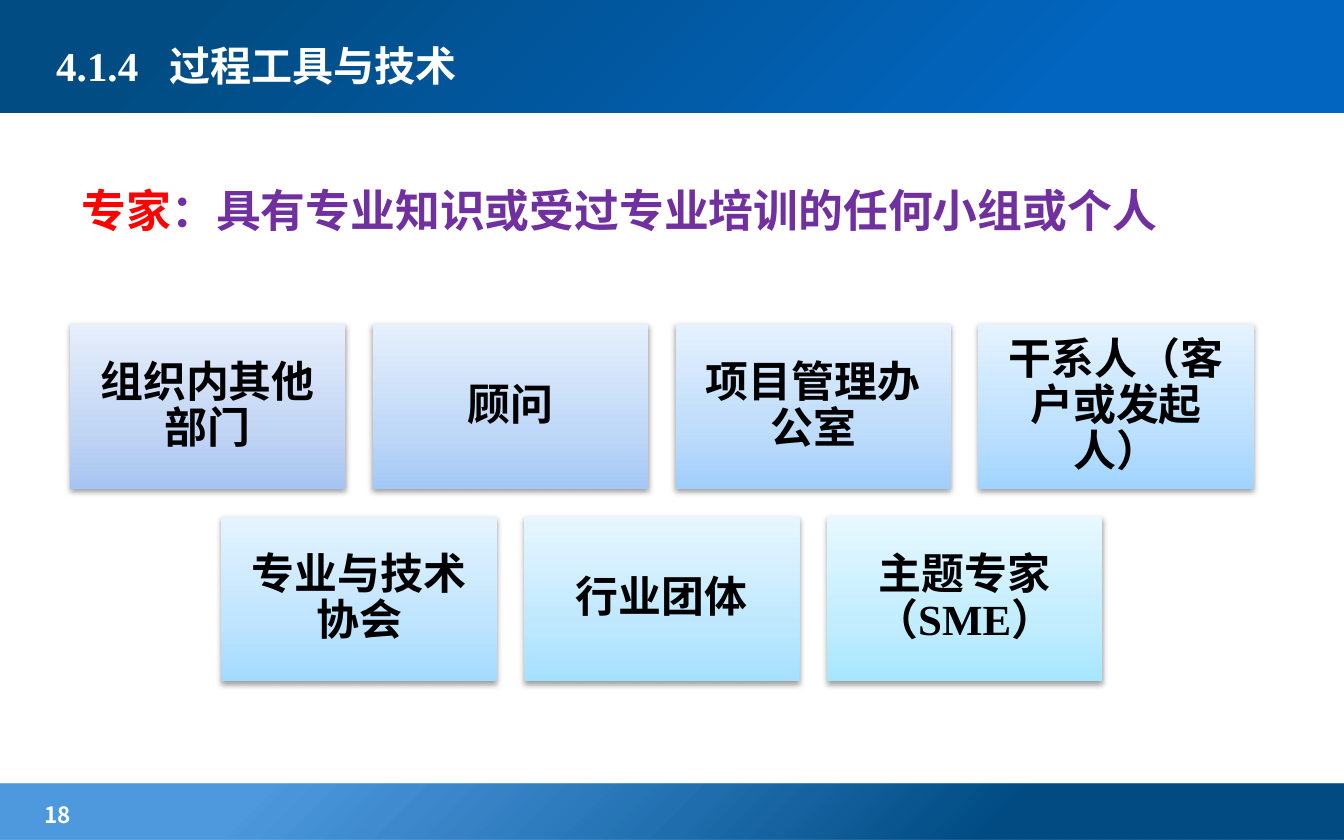
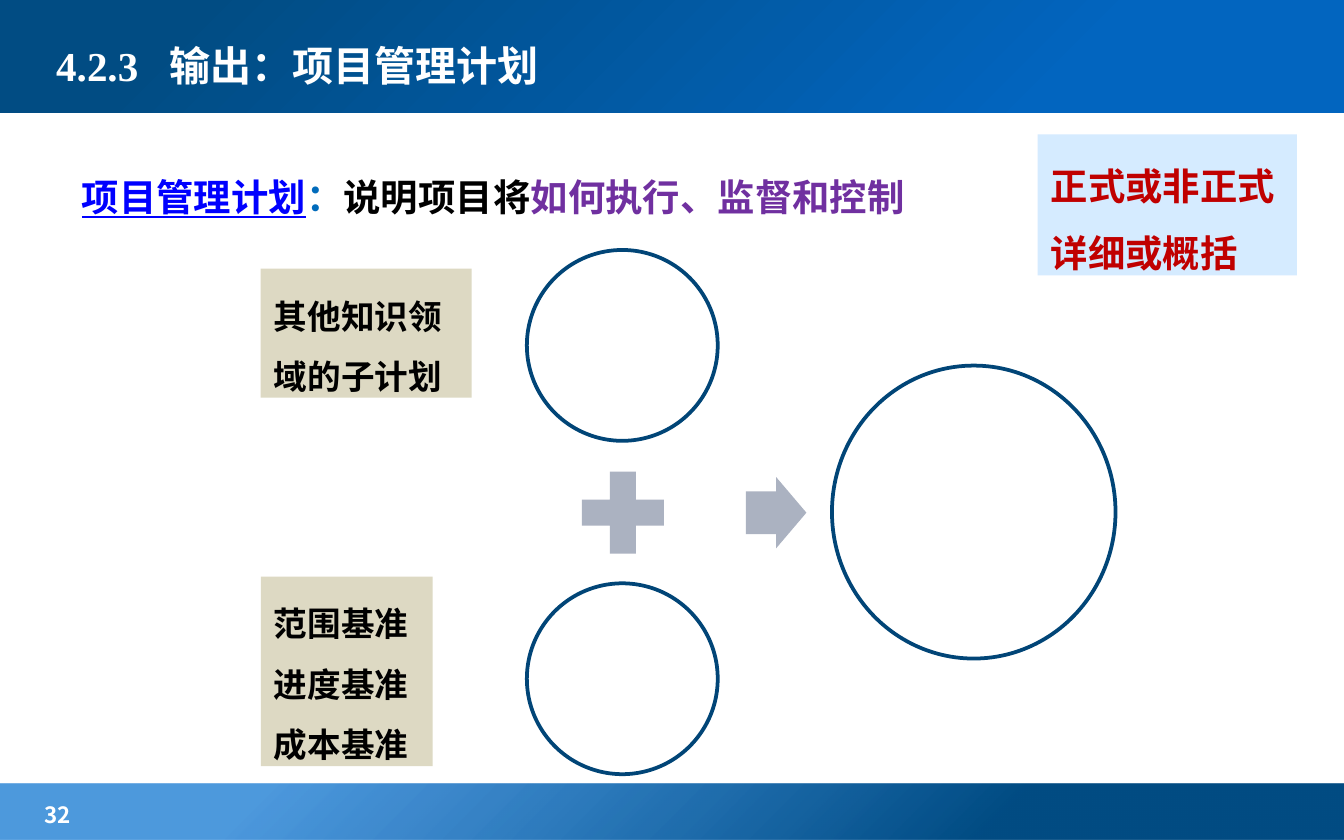
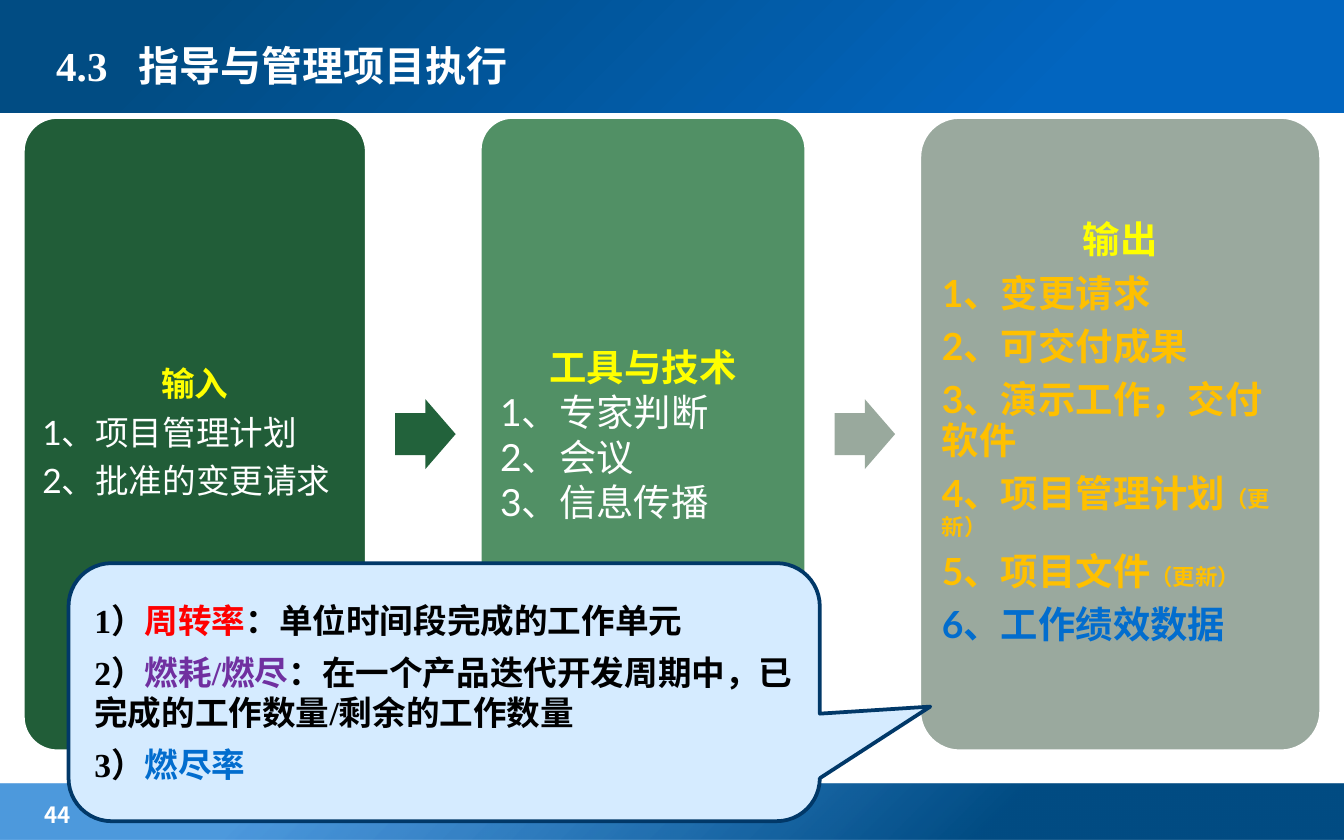
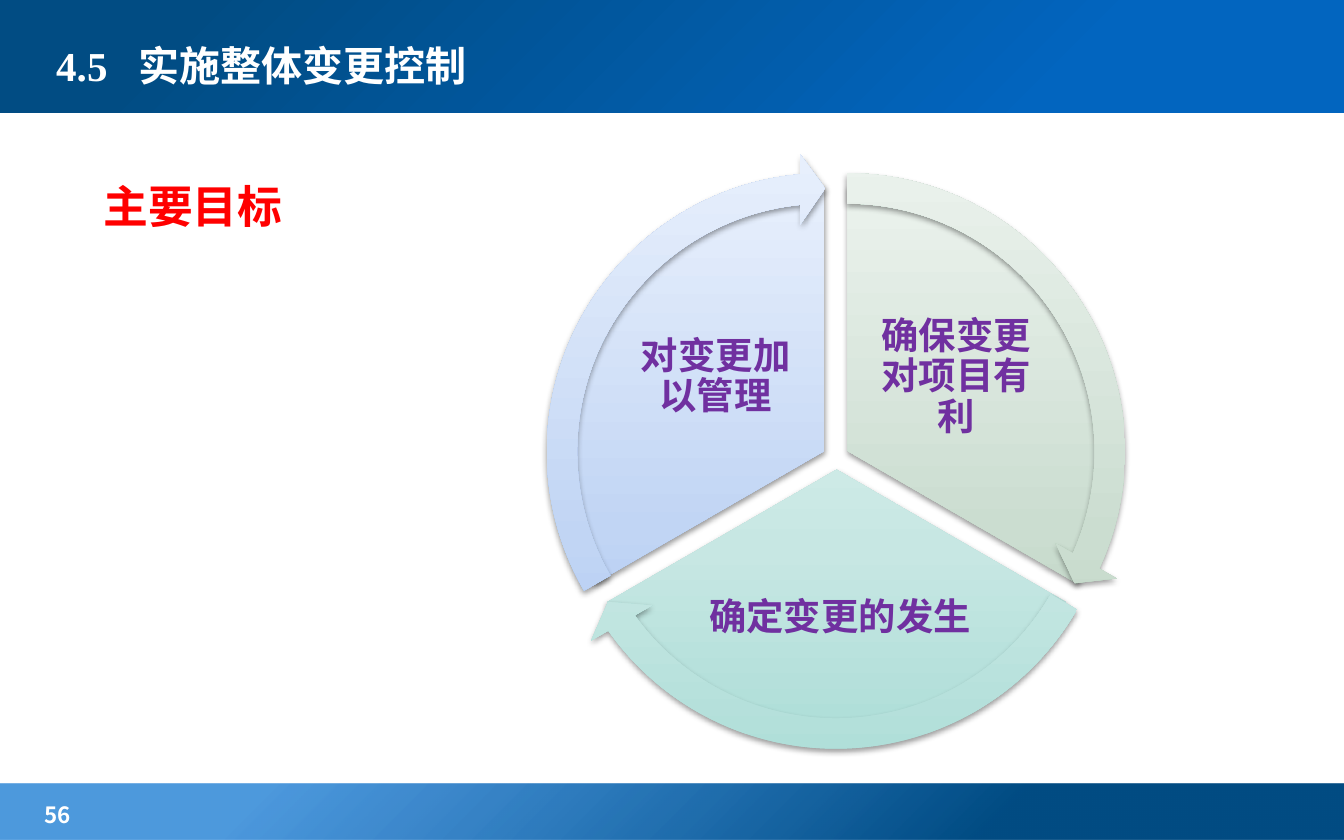
"""Build four slides on project integration management."""
from dataclasses import dataclass

from lxml import etree
from pptx import Presentation
from pptx.dml.color import RGBColor
from pptx.enum.lang import MSO_LANGUAGE_ID as Lang
from pptx.enum.shapes import MSO_SHAPE as Shape
from pptx.enum.text import MSO_ANCHOR as Anchor, PP_ALIGN as Align
from pptx.oxml.ns import qn
from pptx.util import Inches, Pt


@dataclass(frozen=True)
class Theme:
    serif: str = "Times New Roman"
    sans: str = "Lato"
    chinese: str = "Noto Sans CJK SC"
    white: str = "FFFFFF"
    black: str = "000000"
    red: str = "FF0000"
    dark_red: str = "C00000"
    purple: str = "7030A0"
    link: str = "0000FF"
    colon: str = "016BBB"
    blue: str = "026DCE"
    band_blue: str = "0265BF"
    navy: str = "014C83"
    ring: str = "014577"
    callout_edge: str = "013868"
    pale_blue: str = "D5EBFF"
    sand: str = "DDD9C3"
    grey: str = "ABB2C1"
    yellow: str = "FFFF00"
    amber: str = "FFC000"
    input_green: str = "215D38"
    input_arrow: str = "22623B"
    tool_green: str = "519065"
    output_grey: str = "9AA99E"
    output_arrow: str = "99A99D"
    number_size: int = 12
    note_size: int = 12
    body_size: int = 18
    large_size: int = 20
    title_size: int = 22
    tile_size: int = 23
    lead_size: int = 24


theme = Theme()


def draw(slide, kind, box, fill, line=None, adjust=(), shadow=False, direction=None):
    shape = slide.shapes.add_shape(kind, *map(Inches, box))
    for index, value in enumerate(adjust):
        shape.adjustments[index] = value
    shape.shadow.inherit = False
    properties = shape._element.spPr
    if isinstance(fill, str):
        shape.fill.solid()
        shape.fill.fore_color.rgb = RGBColor.from_string(fill)
    else:
        shape.fill.background()
        gradient = etree.Element(qn("a:gradFill"), rotWithShape="1")
        stops = etree.SubElement(gradient, qn("a:gsLst"))
        for position, color, alpha in fill:
            stop = etree.SubElement(stops, qn("a:gs"), pos=str(position * 1000))
            tone = etree.SubElement(stop, qn("a:srgbClr"), val=color)
            if alpha < 100:
                etree.SubElement(tone, qn("a:alpha"), val=str(alpha * 1000))
        if direction is None:
            path = etree.SubElement(gradient, qn("a:path"), {"path": "circle"})
            etree.SubElement(path, qn("a:fillToRect"), l="100000", t="100000")
        else:
            etree.SubElement(gradient, qn("a:lin"), ang=str(direction * 60000), scaled="0")
        properties.replace(properties.find(qn("a:noFill")), gradient)
    if line:
        shape.line.color.rgb = RGBColor.from_string(line)
        shape.line.width = Pt(2)
    else:
        shape.line.fill.background()
    if shadow:
        effects = properties.find(qn("a:effectLst"))
        outer = etree.SubElement(effects, qn("a:outerShdw"), blurRad="40000", dist="20000",
                                 dir="5400000", rotWithShape="0")
        tone = etree.SubElement(outer, qn("a:srgbClr"), val=theme.black)
        etree.SubElement(tone, qn("a:alpha"), val="38000")
    return shape


def write(shape, lines, size, face=theme.serif, align=Align.LEFT, anchor=Anchor.TOP,
          leading=1.0, after=0, margin=None, tab=None):
    frame = shape.text_frame
    frame.word_wrap = True
    frame.vertical_anchor = anchor
    if margin is not None:
        frame.margin_left = frame.margin_right = Inches(margin)
        frame.margin_top = frame.margin_bottom = Inches(margin)
    for index, parts in enumerate(lines):
        paragraph = frame.add_paragraph() if index else frame.paragraphs[0]
        paragraph.alignment = align
        if tab:
            tabs = etree.SubElement(paragraph._p.get_or_add_pPr(), qn("a:tabLst"))
            etree.SubElement(tabs, qn("a:tab"), pos=str(Inches(tab)), algn="l")
        paragraph.line_spacing = leading
        paragraph.space_after = Pt(after)
        font = paragraph.font
        font.size, font.bold, font.name = Pt(size), True, face
        font.language_id = Lang.SIMPLIFIED_CHINESE
        font.color.rgb = RGBColor.from_string(parts[0][1])
        defaults = paragraph._p.pPr.find(qn("a:defRPr"))
        etree.SubElement(defaults, qn("a:ea"), typeface=theme.chinese)
        for text, color, *run_size in parts:
            run = paragraph.add_run()
            run.text = text
            if color != parts[0][1]:
                run.font.color.rgb = RGBColor.from_string(color)
            if run_size:
                run.font.size = Pt(run_size[0])
    return frame


deck = Presentation()
deck.slide_width, deck.slide_height = Inches(10), Inches(6.25)

pages = [
    (18, "4.1.4", "过程工具与技术", 0.84),
    (32, "4.2.3", "输出：项目管理计划", 0.84),
    (44, "4.3", "指导与管理项目执行", 0.61),
    (56, "4.5", "实施整体变更控制", 0.61),
]
slides = []
for page, section, heading, tab in pages:
    slide = deck.slides.add_slide(deck.slide_layouts[6])
    draw(slide, Shape.RECTANGLE, (0, 5.83, 10, 0.42),
         [(26, theme.navy, 100), (80, theme.blue, 70)])
    draw(slide, Shape.RECTANGLE, (0, -0.03, 10, 0.87),
         [(21, theme.band_blue, 100), (86, theme.navy, 100)])
    number = slide.shapes.add_textbox(Inches(0.23), Inches(5.91), Inches(1.54), Inches(0.26))
    write(number, [[(str(page), theme.white)]], theme.number_size, theme.chinese)
    title = slide.shapes.add_textbox(Inches(0.32), Inches(0.13), Inches(6.38), Inches(0.71))
    write(title, [[(f"{section}\t{heading}", theme.white)]], theme.title_size,
          anchor=Anchor.MIDDLE, tab=tab)
    slides.append(slide)
experts, plan, execution, change = slides

definition = experts.shapes.add_textbox(Inches(0.51), Inches(1.11), Inches(9.13), Inches(3.9))
write(definition, [[("专家", theme.red),
                    ("：具有专业知识或受过专业培训的任何小组或个人", theme.purple)]],
      theme.lead_size, leading=1.5)

expert_rows = [
    [("组织内其他部门", "A6C4F1", "C1D5F4", "E7EFFC"),
     ("顾问", "A3C8F6", "BFD8F7", "E6F0FD"),
     ("项目管理办公室", "A1CEFB", "BEDCFB", "E5F1FF"),
     ("干系人（客户或发起人）", "A0D4FF", "BCE0FF", "E5F3FF")],
    [("专业与技术协会", "A3DAFF", "BEE4FF", "E6F4FF"),
     ("行业团体", "A5E0FF", "BFE8FF", "E7F6FF"),
     ("主题专家（SME）", "A7E6FF", "C1EDFF", "E7F8FF")],
]
tile_width, tile_height, grid_left, grid_width = 2.05, 1.23, 0.52, 8.81
pitch = (grid_width - tile_width) / 3
for row, tiles in enumerate(expert_rows):
    row_left = grid_left + (4 - len(tiles)) * pitch / 2
    for column, (expert, low, middle, high) in enumerate(tiles):
        tile = draw(experts, Shape.RECTANGLE,
                    (row_left + column * pitch, 2.41 + row * 1.43, tile_width, tile_height),
                    [(0, low, 100), (35, middle, 100), (100, high, 100)],
                    shadow=True, direction=270)
        write(tile, [[(expert, theme.black)]], theme.tile_size, align=Align.CENTER,
              anchor=Anchor.MIDDLE, leading=0.9, margin=0.1)

purpose = plan.shapes.add_textbox(Inches(0.51), Inches(1.08), Inches(8.98), Inches(3.9))
purpose_text = write(purpose, [[("项目管理计划", theme.link), ("：", theme.colon),
                                ("说明项目将", theme.black),
                                ("如何执行、监督和控制", theme.purple)]],
                     theme.large_size, leading=1.5)
purpose_text.paragraphs[0].runs[0].font.underline = True

plan_notes = [
    ((1.94, 4.29, 1.28, 1.41), theme.sand, theme.black, theme.body_size,
     ["范围基准", "进度基准", "成本基准"]),
    ((1.94, 2, 1.57, 0.96), theme.sand, theme.black, theme.body_size,
     ["其他知识领域的子计划"]),
    ((7.72, 1, 1.93, 1.05), theme.pale_blue, theme.dark_red, theme.large_size,
     ["正式或非正式", "详细或概括"]),
]
for box, fill, color, size, lines in plan_notes:
    note = draw(plan, Shape.RECTANGLE, box, fill)
    write(note, [[(line, color)] for line in lines], size, leading=1.5)

for ring in [(3.92, 1.86, 1.42, 1.42), (3.92, 4.34, 1.42, 1.42), (6.19, 2.72, 2.11, 2.18)]:
    draw(plan, Shape.OVAL, ring, theme.white, theme.ring)
draw(plan, Shape.MATH_PLUS, (4.22, 3.4, 0.83, 0.83), theme.grey)
draw(plan, Shape.RIGHT_ARROW, (5.55, 3.55, 0.45, 0.53), theme.grey, adjust=(0.6, 0.5))

stages = [
    (0.17, 2.56, theme.input_green, theme.body_size, 0.9, 6.3, 0.07,
     [[("输入", theme.yellow)], [("1、项目管理计划", theme.white)],
      [("2、批准的变更请求", theme.white)]]),
    (3.57, 2.43, theme.tool_green, theme.large_size, 1.0, 0, 0.08,
     [[("工具与技术", theme.yellow)], [("1、专家判断", theme.white)],
      [("2、会议", theme.white)], [("3、信息传播", theme.white)]]),
    (6.84, 2.99, theme.output_grey, theme.large_size, 0.9, 7, 0.08,
     [[("输出", theme.yellow)], [("1、变更请求", theme.amber)],
      [("2、可交付成果", theme.amber)], [("3、演示工作，交付软件", theme.amber)],
      [("4、项目管理计划", theme.amber), ("（更新）", theme.amber, theme.note_size)],
      [("5、项目文件", theme.amber), ("（更新）", theme.amber, theme.note_size)],
      [("6、工作绩效数据", theme.blue)]]),
]
for left, width, fill, size, leading, after, margin, lines in stages:
    stage = draw(execution, Shape.ROUNDED_RECTANGLE, (left, 0.87, width, 4.72), fill,
                 theme.white, adjust=(0.1,))
    stage_text = write(stage, lines, size, theme.sans, anchor=Anchor.MIDDLE,
                       leading=leading, after=after, margin=margin)
    stage_text.paragraphs[0].alignment = Align.CENTER
    for item in stage_text.paragraphs[1:]:
        item.font.bold = fill == theme.output_grey
for left, fill in [(2.94, theme.input_arrow), (6.21, theme.output_arrow)]:
    draw(execution, Shape.RIGHT_ARROW, (left, 2.97, 0.45, 0.52), fill, adjust=(0.6, 0.5))

metrics = draw(execution, Shape.ROUNDED_RECTANGULAR_CALLOUT, (0.51, 4.19, 5.59, 1.92),
               theme.pale_blue, theme.callout_edge, adjust=(0.647, 0.056, 0.167))
write(metrics, [
    [("1）", theme.black), ("周转率", theme.red), ("：单位时间段完成的工作单元", theme.black)],
    [("2）", theme.black), ("燃耗/燃尽", theme.purple),
     ("：在一个产品迭代开发周期中，已完成的工作数量/剩余的工作数量", theme.black)],
    [("3）", theme.black), ("燃尽率", theme.blue)],
], theme.body_size, anchor=Anchor.MIDDLE, after=6)

goals = change.shapes.add_textbox(Inches(0.67), Inches(1.08), Inches(8.67), Inches(3.9))
write(goals, [[("主要目标", theme.red)]], theme.lead_size, leading=1.5)

goal_sectors = [
    ("确保变更对项目有利", (4.33, 1.38), (162, 18), (6.41, 2.22, 1.41, 1.18),
     (4.08, 1.14), (14.725, 161.994), ("B5CFBB", "CBDDD0", "EBF2ED")),
    ("确定变更的发生", (4.25, 1.52), (18, 90), (5.19, 4.09, 2.12, 1.03),
     (4, 1.28), (86.72, 18.005), ("AEDED8", "C7E7E3", "E9F6F5")),
    ("对变更加以管理", (4.16, 1.38), (90, 162), (4.62, 2.22, 1.41, 1.18),
     (3.92, 1.14), (158.73, 90), ("A6C4F1", "C1D5F4", "E7EFFC")),
]
cycle_arrows = []
for goal, corner, angles, label_box, arrow_corner, sweep, colors in goal_sectors:
    shades = [(position, color, 100) for position, color in zip((0, 35, 100), colors)]
    draw(change, Shape.PIE, (*corner, 3.95, 3.95), shades, adjust=angles,
         shadow=True, direction=270)
    label = change.shapes.add_textbox(*map(Inches, label_box))
    write(label, [[(goal, theme.purple)]], theme.large_size, align=Align.CENTER,
          anchor=Anchor.MIDDLE, leading=0.9, margin=0.03)
    cycle_arrows.append((arrow_corner, sweep, shades))
for corner, sweep, shades in cycle_arrows:
    draw(change, Shape.CIRCULAR_ARROW, (*corner, 4.44, 4.44), shades,
         adjust=(0.051, 3.275, *sweep, 0.059), shadow=True, direction=270)

deck.save("out.pptx")
